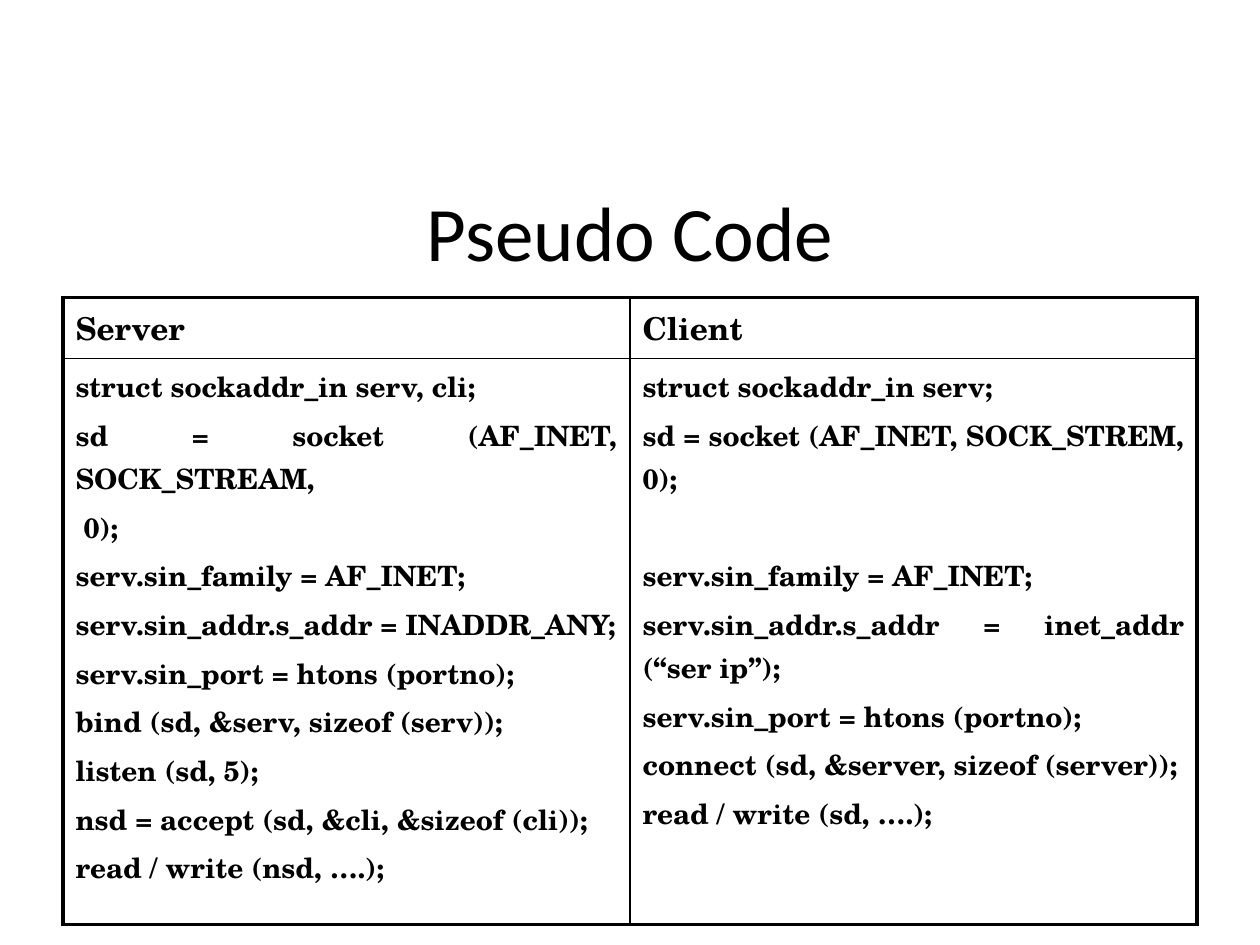
from pptx import Presentation
from pptx.dml.color import RGBColor
from pptx.enum.text import MSO_ANCHOR, PP_ALIGN
from pptx.oxml.ns import qn
from pptx.util import Inches, Pt
from lxml.etree import SubElement

BLACK = RGBColor(0, 0, 0)
CODE_FONT = "TeX Gyre Schola"
THIN, THICK = 1, 2.25
HEADER_SIZE, CODE_SIZE = 18, 16
GAP_BEFORE = 31

server_code = [
    "struct sockaddr_in serv, cli;",
    "sd = socket (AF_INET, SOCK_STREAM,",
    " 0);",
    "serv.sin_family = AF_INET;",
    "serv.sin_addr.s_addr = INADDR_ANY;",
    "serv.sin_port = htons (portno);",
    "bind (sd, &serv, sizeof (serv));",
    "listen (sd, 5);",
    "nsd = accept (sd, &cli, &sizeof (cli));",
    "read / write (nsd, ….);",
]
client_code = [
    "struct sockaddr_in serv;",
    "sd = socket (AF_INET, SOCK_STREM, 0);",
    "serv.sin_family = AF_INET;",
    "serv.sin_addr.s_addr = inet_addr (“ser ip”);",
    "serv.sin_port = htons (portno);",
    "connect (sd, &server, sizeof (server));",
    "read / write (sd, ….);",
]
rows = [[["Server"], ["Client"]], [server_code, client_code]]


def set_borders(cell, widths):
    properties = cell._tc.get_or_add_tcPr()
    for position, (side, width) in enumerate(widths.items()):
        line = properties.makeelement(qn(f"a:{side}"), {"w": str(Pt(width))})
        fill = SubElement(line, qn("a:solidFill"))
        SubElement(fill, qn("a:srgbClr"), val=str(BLACK))
        properties.insert(position, line)


def write_lines(cell, lines, size):
    frame = cell.text_frame
    for index, text in enumerate(lines):
        paragraph = frame.paragraphs[0] if index == 0 else frame.add_paragraph()
        paragraph.alignment = PP_ALIGN.JUSTIFY
        paragraph.space_before = Pt(size * 0.2)
        run = paragraph.add_run()
        run.text = text
        run.font.name = CODE_FONT
        run.font.size = Pt(size)
        run.font.bold = True
        run.font.color.rgb = BLACK


presentation = Presentation()
presentation.slide_width = Inches(10)
presentation.slide_height = Inches(7.5)
slide = presentation.slides.add_slide(presentation.slide_layouts[5])

title = slide.shapes.title
title.left, title.top = Inches(0), Inches(1.33)
title.width, title.height = Inches(10), Inches(1)
title.text_frame.vertical_anchor = MSO_ANCHOR.MIDDLE
paragraph = title.text_frame.paragraphs[0]
paragraph.alignment = PP_ALIGN.CENTER
run = paragraph.add_run()
run.text = "Pseudo Code"
run.font.name = "Calibri"
run.font.size = Pt(44)
run.font.color.rgb = BLACK

table = slide.shapes.add_table(
    2, 2, Inches(0.5), Inches(2.36), Inches(9), Inches(4.61)
).table
table.first_row = False
table.horz_banding = False
for column in table.columns:
    column.width = Inches(4.5)
for row, height in zip(table.rows, (0.48, 4.13)):
    row.height = Inches(height)

for row_index, row in enumerate(rows):
    for column_index, lines in enumerate(row):
        cell = table.cell(row_index, column_index)
        cell.fill.background()
        write_lines(cell, lines, CODE_SIZE if row_index else HEADER_SIZE)
        set_borders(cell, {
            "lnL": THIN if column_index else THICK,
            "lnR": THICK if column_index else THIN,
            "lnT": THIN if row_index else THICK,
            "lnB": THICK if row_index else THIN,
        })

for cell in table.rows[1].cells:
    cell.margin_bottom = Inches(0.28)
table.cell(1, 1).text_frame.paragraphs[2].space_before = Pt(GAP_BEFORE)

presentation.save("out.pptx")
